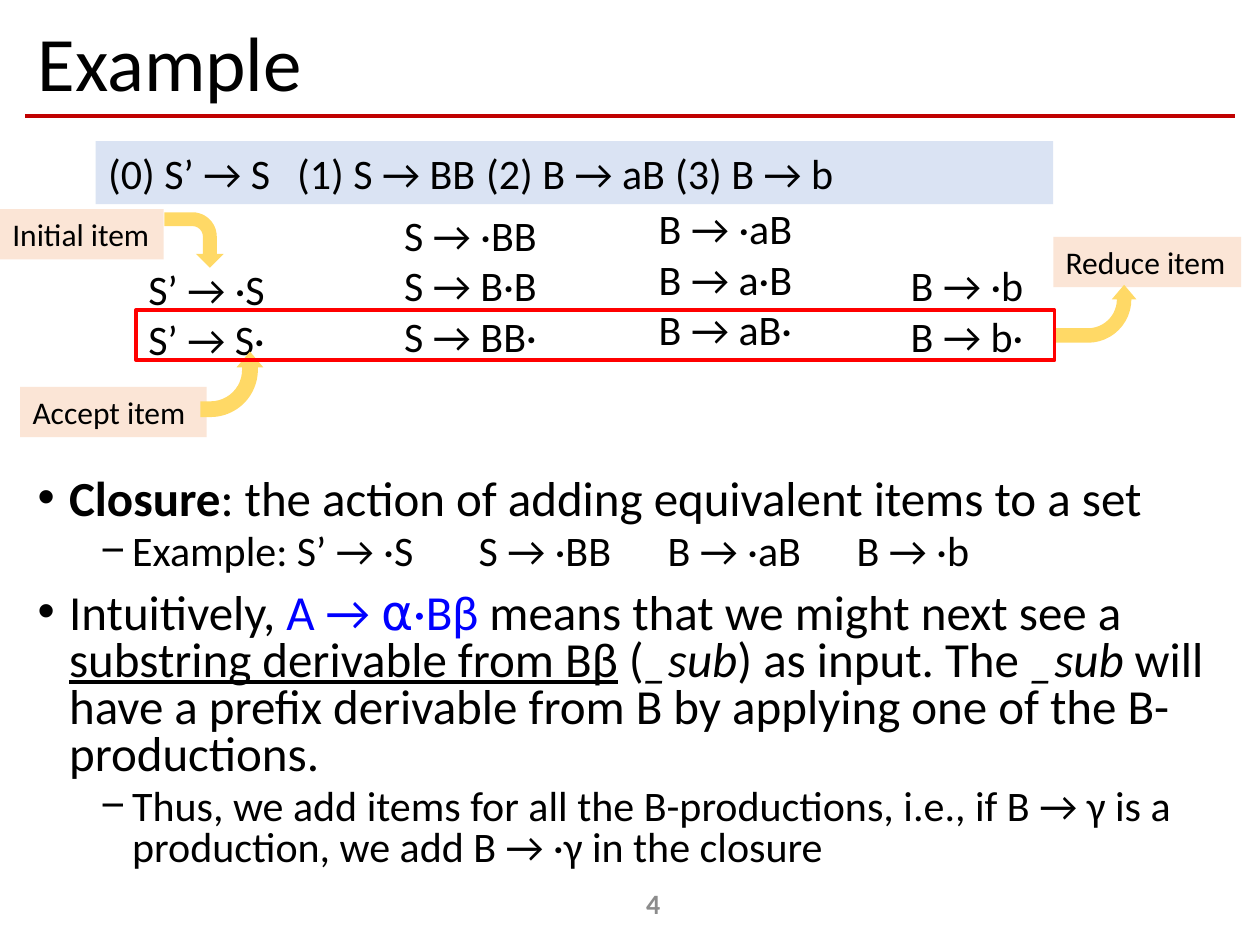
from lxml import etree
from pptx import Presentation
from pptx.dml.color import RGBColor
from pptx.enum.shapes import MSO_CONNECTOR, MSO_SHAPE
from pptx.enum.text import MSO_ANCHOR, PP_ALIGN
from pptx.oxml.ns import qn
from pptx.util import Inches, Pt

RECTANGLE, BENT_ARROW = MSO_SHAPE.RECTANGLE, MSO_SHAPE.BENT_ARROW
TOP, MIDDLE, BOTTOM = MSO_ANCHOR.TOP, MSO_ANCHOR.MIDDLE, MSO_ANCHOR.BOTTOM
LEFT, CENTER = PP_ALIGN.LEFT, PP_ALIGN.CENTER

THEME = {
    "font": "Calibri",
    "ink": "000000", "rule": "C00000", "grammar": "DAE3F3", "label": "FBE5D6",
    "arrow": "FFD966", "frame": "FF0000", "accent": "0000FF", "page": "8C8C8C",
    "title_size": 44, "point_size": 28, "item_size": 24, "label_size": 18, "page_size": 16,
}

TITLE = "Example"
PAGE = "4"
PRODUCTIONS = ["(0) S’ → S", "(1) S → BB", "(2) B → aB", "(3) B → b"]
ITEM_SETS = [
    ((3.11, 1.60, 1.26, 1.31), ["S → ·BB", "S → B·B", "S → BB·"]),
    ((5.13, 1.55, 1.27, 1.31), ["B → ·aB", "B → a·B", "B → aB·"]),
    ((7.13, 1.60, 1.10, 1.31), ["B → ·b", "B → b·"]),
    ((1.08, 1.63, 1.13, 1.31), ["S’ → ·S", "S’ → S·"]),
]
FINAL_ITEMS = (1.08, 2.46, 7.29, 0.4)
CALLOUTS = [
    ("Initial item", (0, 1.66, 1.30, 0.4), (1.32, 1.67, 0.44, 0.47), False, (0.25, 0.25, 0.25, 0.438)),
    ("Accept item", (0.16, 3.07, 1.48, 0.4), (1.58, 2.80, 0.52, 0.50), True, (0.25, 0.212, 0.25, 0.75)),
    ("Reduce item", (8.36, 1.88, 1.49, 0.4), (8.46, 2.16, 0.46, 0.66), True, (0.25, 0.212, 0.25, 0.75)),
]
PLAIN, BOLD, ITALIC, UNDERLINE = {}, {"bold": True}, {"italic": True}, {"underline": True}
ACCENT = {"color": THEME["accent"]}
POINTS = [
    (0, [("Closure", BOLD), (": the action of adding equivalent items to a set", PLAIN)]),
    (1, [("Example: S’ → ·S\t\tS → ·BB\tB → ·aB\tB → ·b", PLAIN)]),
    (0, [("Intuitively, ", PLAIN), ("A → ⍺·Bβ", ACCENT),
         (" means that we might next see a ", PLAIN),
         ("substring derivable from Bβ", UNDERLINE), (" (", PLAIN), ("_sub", ITALIC),
         (") as input. The ", PLAIN), ("_sub", ITALIC),
         (" will have a prefix derivable from B by applying one of the B-productions.", PLAIN)]),
    (1, [("Thus, we add items for all the B-productions, i.e., if B → γ is a production, "
          "we add B → ·γ in the closure", PLAIN)]),
]
LEVELS = [
    {"size": THEME["point_size"], "indent": 0.25, "before": 10, "bullet": "•"},
    {"size": THEME["item_size"], "indent": 0.75, "before": 5, "bullet": "−"},
]


def color(name):
    return RGBColor.from_string(THEME[name])


def box(place):
    return [Inches(length) for length in place]


def add_run(paragraph, text, size, ink=THEME["ink"], **formats):
    run = paragraph.add_run()
    run.text = text
    run.font.color.rgb = RGBColor.from_string(formats.pop("color", ink))
    for name, value in {"name": THEME["font"], "size": Pt(size), **formats}.items():
        setattr(run.font, name, value)


def write(shape, lines, size, anchor=TOP, align=LEFT, wrap=False, **formats):
    frame = shape.text_frame
    frame.word_wrap = wrap
    frame.vertical_anchor = anchor
    for number, line in enumerate(lines):
        paragraph = frame.add_paragraph() if number else frame.paragraphs[0]
        paragraph.alignment = align
        add_run(paragraph, line, size, **formats)
    return frame


def add_block(shapes, kind, place, fill=None):
    block = shapes.add_shape(kind, *box(place))
    block.shadow.inherit = False
    block.line.fill.background()
    if fill:
        block.fill.solid()
        block.fill.fore_color.rgb = color(fill)
    else:
        block.fill.background()
    return block


def add_arrow(shapes, place, flipped, adjustments):
    arrow = add_block(shapes, BENT_ARROW, place, "arrow")
    arrow.rotation = 90
    for index, value in enumerate(adjustments):
        arrow.adjustments[index] = value
    if flipped:
        arrow.element.spPr.find(qn("a:xfrm")).set("flipH", "1")


def add_rule(shapes):
    rule = shapes.add_connector(MSO_CONNECTOR.STRAIGHT, *box((0.2, 0.92, 9.8, 0.92)))
    rule.line.color.rgb = color("rule")
    rule.line.width = Pt(2.5)
    etree.SubElement(rule.element.spPr, qn("a:effectLst"))


def add_points(shapes):
    frame = shapes.add_textbox(*box((0.2, 3.12, 9.61, 4.02))).text_frame
    frame.word_wrap = True
    frame.margin_top = Inches(0.68)
    for number, (level, runs) in enumerate(POINTS):
        style = LEVELS[level]
        paragraph = frame.add_paragraph() if number else frame.paragraphs[0]
        paragraph.level = level
        paragraph.line_spacing = 0.8
        paragraph.space_before = Pt(style["before"] if number else 0)
        properties = paragraph._p.get_or_add_pPr()
        properties.set("marL", str(Inches(style["indent"])))
        properties.set("indent", str(Inches(-0.25)))
        etree.SubElement(properties, qn("a:buFont")).set("typeface", "Arial")
        etree.SubElement(properties, qn("a:buChar")).set("char", style["bullet"])
        for text, formats in runs:
            add_run(paragraph, text, style["size"], **formats)


def main():
    deck = Presentation()
    deck.slide_width, deck.slide_height = Inches(10), Inches(7.5)
    shapes = deck.slides.add_slide(deck.slide_layouts[6]).shapes

    add_rule(shapes)
    title = write(shapes.add_textbox(*box((0.2, 0.13, 9.61, 0.79))), [TITLE],
                  THEME["title_size"], MIDDLE, wrap=True)
    title.paragraphs[0].line_spacing = 0.9
    add_points(shapes)
    write(shapes.add_textbox(*box((4.06, 6.97, 2.25, 0.4))), [PAGE], THEME["page_size"],
          MIDDLE, CENTER, True, color=THEME["page"], bold=True)

    grammar = add_block(shapes, RECTANGLE, (0.76, 1.12, 7.6, 0.5), "grammar")
    write(grammar, ["\t".join(PRODUCTIONS)], THEME["item_size"])
    for place, items in ITEM_SETS:
        write(shapes.add_textbox(*box(place)), items, THEME["item_size"], BOTTOM)

    for label, place, arrow_place, flipped, adjustments in CALLOUTS:
        write(add_block(shapes, RECTANGLE, place, "label"), [label], THEME["label_size"])
        add_arrow(shapes, arrow_place, flipped, adjustments)
    final_frame = add_block(shapes, RECTANGLE, FINAL_ITEMS)
    final_frame.line.color.rgb = color("frame")
    final_frame.line.width = Pt(2)

    deck.save("out.pptx")


if __name__ == "__main__":
    main()
